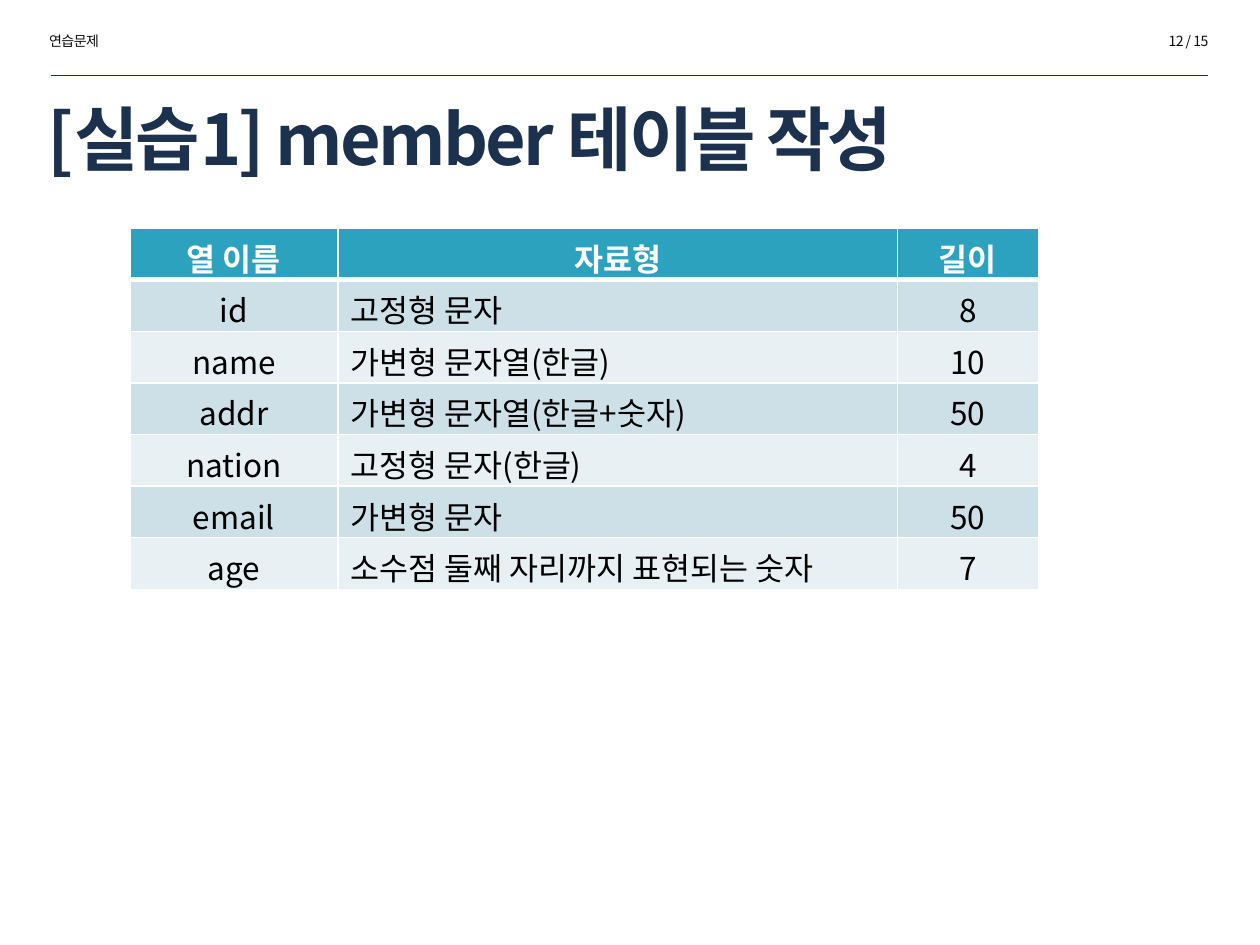
from dataclasses import dataclass

from lxml import etree
from pptx import Presentation
from pptx.dml.color import RGBColor
from pptx.enum.shapes import MSO_CONNECTOR
from pptx.enum.text import MSO_ANCHOR, MSO_AUTO_SIZE, PP_ALIGN
from pptx.oxml.ns import qn
from pptx.util import Cm, Pt

LEFT, CENTER, RIGHT = PP_ALIGN.LEFT, PP_ALIGN.CENTER, PP_ALIGN.RIGHT
MIDDLE, TOP = MSO_ANCHOR.MIDDLE, MSO_ANCHOR.TOP
NO_AUTOFIT, FIT_SHAPE = MSO_AUTO_SIZE.NONE, MSO_AUTO_SIZE.SHAPE_TO_FIT_TEXT
STRAIGHT = MSO_CONNECTOR.STRAIGHT


@dataclass(frozen=True)
class Theme:
    font: str = "Noto Sans CJK KR"
    navy: str = "1C314E"
    ink: str = "0D0D0D"
    black: str = "000000"
    white: str = "FFFFFF"
    header_fill: str = "2DA2BF"
    band_fills: tuple = ("CDE0E8", "E8F0F4")
    title_size: float = 40
    table_size: float = 18
    small_size: float = 8


theme = Theme()


def write_text(text_frame, text, *, size, color, bold=False, align=LEFT, spacing=0):
    paragraph = text_frame.paragraphs[0]
    paragraph.alignment = align
    run = paragraph.add_run()
    run.text = text
    run.font.name = theme.font
    run.font.size = Pt(size)
    run.font.bold = bold
    run.font.color.rgb = RGBColor.from_string(color)
    properties = run._r.get_or_add_rPr()
    etree.SubElement(properties, qn("a:ea"), typeface=theme.font)
    if spacing:
        properties.set("spc", str(round(spacing * 100)))


def add_border(cell, side, width):
    properties = cell._tc.get_or_add_tcPr()
    line = etree.SubElement(properties, qn(f"a:ln{side}"), w=str(Pt(width)))
    fill = etree.SubElement(line, qn("a:solidFill"))
    etree.SubElement(fill, qn("a:srgbClr"), val=theme.white)


presentation = Presentation()
presentation.slide_width = Cm(25.4)
presentation.slide_height = Cm(19.05)
slide = presentation.slides.add_slide(presentation.slide_layouts[5])

# Rule under the running header
rule = slide.shapes.add_connector(STRAIGHT, Cm(1.02), Cm(1.52), Cm(24.36), Cm(1.52))
rule.line.color.rgb = RGBColor.from_string(theme.navy)
rule.line.width = Pt(0.25)
etree.SubElement(rule._element.spPr, qn("a:effectLst"))

# Title
title = slide.shapes.title
title.left, title.top, title.width, title.height = Cm(0.71), Cm(1.96), Cm(23.52), Cm(1.63)
title.text_frame.auto_size = NO_AUTOFIT
title.text_frame.vertical_anchor = MIDDLE
write_text(title.text_frame, "[실습1] member 테이블 작성", size=theme.title_size,
           color=theme.navy, bold=True, spacing=-1.5)

# Running header: page count and section name
for text, left, align in (("12 / 15", 20.22, RIGHT), ("연습문제", 0.74, LEFT)):
    box = slide.shapes.add_textbox(Cm(left), Cm(0.53), Cm(4.39), Cm(0.61))
    box.text_frame.word_wrap = True
    box.text_frame.auto_size = FIT_SHAPE
    write_text(box.text_frame, text, size=theme.small_size, color=theme.ink,
               align=align, spacing=-0.3)

# Column definitions of the member table
rows = (
    ("열 이름", "자료형", "길이"),
    ("id", "고정형 문자", "8"),
    ("name", "가변형 문자열(한글)", "10"),
    ("addr", "가변형 문자열(한글+숫자)", "50"),
    ("nation", "고정형 문자(한글)", "4"),
    ("email", "가변형 문자", "50"),
    ("age", "소수점 둘째 자리까지 표현되는 숫자", "7"),
)
column_widths = (4.19, 11.28, 2.84)
row_height = 1.04
table = slide.shapes.add_table(
    len(rows), len(column_widths), Cm(2.62), Cm(4.6),
    Cm(sum(column_widths)), Cm(row_height * len(rows))).table
for column, width in zip(table.columns, column_widths):
    column.width = Cm(width)

for row_index, row in enumerate(rows):
    table.rows[row_index].height = Cm(row_height)
    is_header = row_index == 0
    fill_color = theme.header_fill if is_header else theme.band_fills[(row_index - 1) % 2]
    border_widths = {"L": 1, "R": 1, "T": 3 if row_index == 1 else 1, "B": 3 if is_header else 1}
    for column_index, text in enumerate(row):
        cell = table.cell(row_index, column_index)
        for side, width in border_widths.items():
            add_border(cell, side, width)
        cell.fill.solid()
        cell.fill.fore_color.rgb = RGBColor.from_string(fill_color)
        cell.vertical_anchor = TOP
        cell.margin_bottom = Cm(0)
        write_text(cell.text_frame, text, size=theme.table_size, bold=is_header,
                   color=theme.white if is_header else theme.black,
                   align=CENTER if is_header or column_index != 1 else LEFT)

presentation.save("out.pptx")
